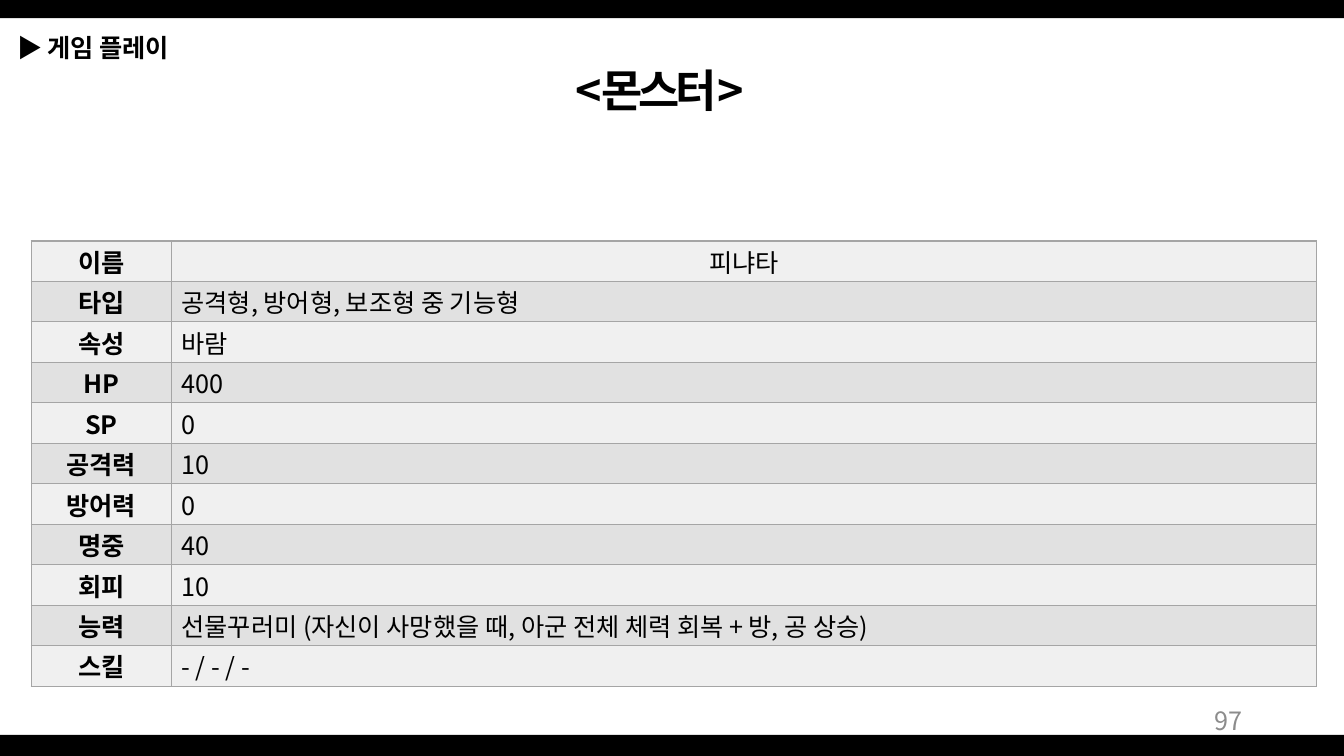
from dataclasses import dataclass

from lxml import etree
from pptx import Presentation
from pptx.dml.color import RGBColor
from pptx.enum.shapes import MSO_SHAPE
from pptx.enum.text import MSO_ANCHOR, MSO_AUTO_SIZE, PP_ALIGN
from pptx.oxml.ns import qn
from pptx.util import Inches, Pt

LEFT, CENTER, RIGHT = PP_ALIGN.LEFT, PP_ALIGN.CENTER, PP_ALIGN.RIGHT
TOP, MIDDLE = MSO_ANCHOR.TOP, MSO_ANCHOR.MIDDLE
RECTANGLE, NO_AUTOSIZE = MSO_SHAPE.RECTANGLE, MSO_AUTO_SIZE.NONE


@dataclass(frozen=True)
class Theme:
    font: str = "Noto Sans CJK KR"
    ink: str = "000000"
    muted: str = "8C8C8C"
    border: str = "A5A5A5"
    bands: tuple[str, str] = ("F0F0F0", "E1E1E1")
    title: int = 32
    body: int = 18


@dataclass(frozen=True)
class Box:
    left: float
    top: float
    width: float
    height: float

    def lengths(self) -> tuple:
        return tuple(Inches(v) for v in (self.left, self.top, self.width, self.height))


@dataclass(frozen=True)
class Stat:
    label: str
    value: str
    align: PP_ALIGN = LEFT


THEME = Theme()
BARS = [Box(0, 7.29, 13.33, 0.21), Box(0, 0, 13.33, 0.18)]
TITLE_BOX = Box(5.05, 0.57, 2.98, 0.64)
TABLE_BOX = Box(0.31, 2.39, 12.75, 4.4)
NUMBER_BOX = Box(9.42, 6.95, 3, 0.4)
SECTION_BOX = Box(0.08, 0.27, 4.13, 0.4)
COLUMNS = (1.39, 11.36)
STATS = [
    Stat("이름", "피냐타", CENTER),
    Stat("타입", "공격형, 방어형, 보조형 중 기능형"),
    Stat("속성", "바람"),
    Stat("HP", "400"),
    Stat("SP", "0"),
    Stat("공격력", "10"),
    Stat("방어력", "0"),
    Stat("명중", "40"),
    Stat("회피", "10"),
    Stat("능력", "선물꾸러미 (자신이 사망했을 때, 아군 전체 체력 회복 + 방, 공 상승)"),
    Stat("스킬", "- / - / -"),
]


def style_font(font, size: int, color: str, bold: bool | None) -> None:
    font.name, font.size, font.bold = THEME.font, Pt(size), bold
    font.color.rgb = RGBColor.from_string(color)


def write(tf, text: str, size: int = THEME.body, color: str = THEME.ink,
          bold: bool | None = False, align: PP_ALIGN = LEFT):
    p = tf.paragraphs[0]
    p.alignment = align
    style_font(p.font, size, color, bold)
    props = p._p.pPr.find(qn("a:defRPr"))
    etree.SubElement(props, qn("a:ea"), typeface=THEME.font)
    p.add_run().text = text
    return p


def set_spacing(r, points: int) -> None:
    r._r.get_or_add_rPr().set("spc", str(points * 100))


def add_bar(s, box: Box) -> None:
    sp = s.shapes.add_shape(RECTANGLE, *box.lengths())
    sp.shadow.inherit = False
    sp.fill.solid()
    sp.fill.fore_color.rgb = RGBColor.from_string(THEME.ink)
    sp.line.fill.background()


def add_title(s) -> None:
    sp = s.shapes.title
    sp.left, sp.top, sp.width, sp.height = TITLE_BOX.lengths()
    tf = sp.text_frame
    tf.auto_size, tf.vertical_anchor = NO_AUTOSIZE, MIDDLE
    p = write(tf, "<몬스터>", THEME.title, bold=True, align=CENTER)
    set_spacing(p.runs[0], -3)


def add_text(s, box: Box, anchor: MSO_ANCHOR):
    tf = s.shapes.add_textbox(*box.lengths()).text_frame
    tf.word_wrap, tf.vertical_anchor = True, anchor
    return tf


def add_section(s) -> None:
    p = write(add_text(s, SECTION_BOX, TOP), "▶ ", bold=None)
    set_spacing(p.runs[0], -1)
    r = p.add_run()
    r.text, r.font.bold = "게임 플레이", True


def set_borders(cell) -> None:
    props = cell._tc.get_or_add_tcPr()
    for index, side in enumerate(("a:lnL", "a:lnR", "a:lnT", "a:lnB")):
        line = etree.Element(qn(side), w=str(Pt(1)))
        fill = etree.SubElement(line, qn("a:solidFill"))
        etree.SubElement(fill, qn("a:srgbClr"), val=THEME.border)
        props.insert(index, line)


def fill_cell(cell, text: str, band: str, bold: bool, align: PP_ALIGN) -> None:
    cell.fill.solid()
    cell.fill.fore_color.rgb = RGBColor.from_string(band)
    cell.vertical_anchor = MIDDLE
    cell.margin_top = cell.margin_bottom = Inches(0.02)
    write(cell.text_frame, text, bold=bold, align=align)
    set_borders(cell)


def add_stats(s) -> None:
    table = s.shapes.add_table(len(STATS), len(COLUMNS), *TABLE_BOX.lengths()).table
    for column, width in zip(table.columns, COLUMNS):
        column.width = Inches(width)
    for i, stat in enumerate(STATS):
        band = THEME.bands[i % 2]
        fill_cell(table.cell(i, 0), stat.label, band, True, CENTER)
        fill_cell(table.cell(i, 1), stat.value, band, False, stat.align)


def main() -> None:
    prs = Presentation()
    prs.slide_width, prs.slide_height = Inches(13.33), Inches(7.5)
    s = prs.slides.add_slide(prs.slide_layouts.get_by_name("Title Only"))
    for bar in BARS:
        add_bar(s, bar)
    add_title(s)
    add_stats(s)
    write(add_text(s, NUMBER_BOX, MIDDLE), "97", color=THEME.muted, align=RIGHT)
    add_section(s)
    prs.save("out.pptx")


if __name__ == "__main__":
    main()
